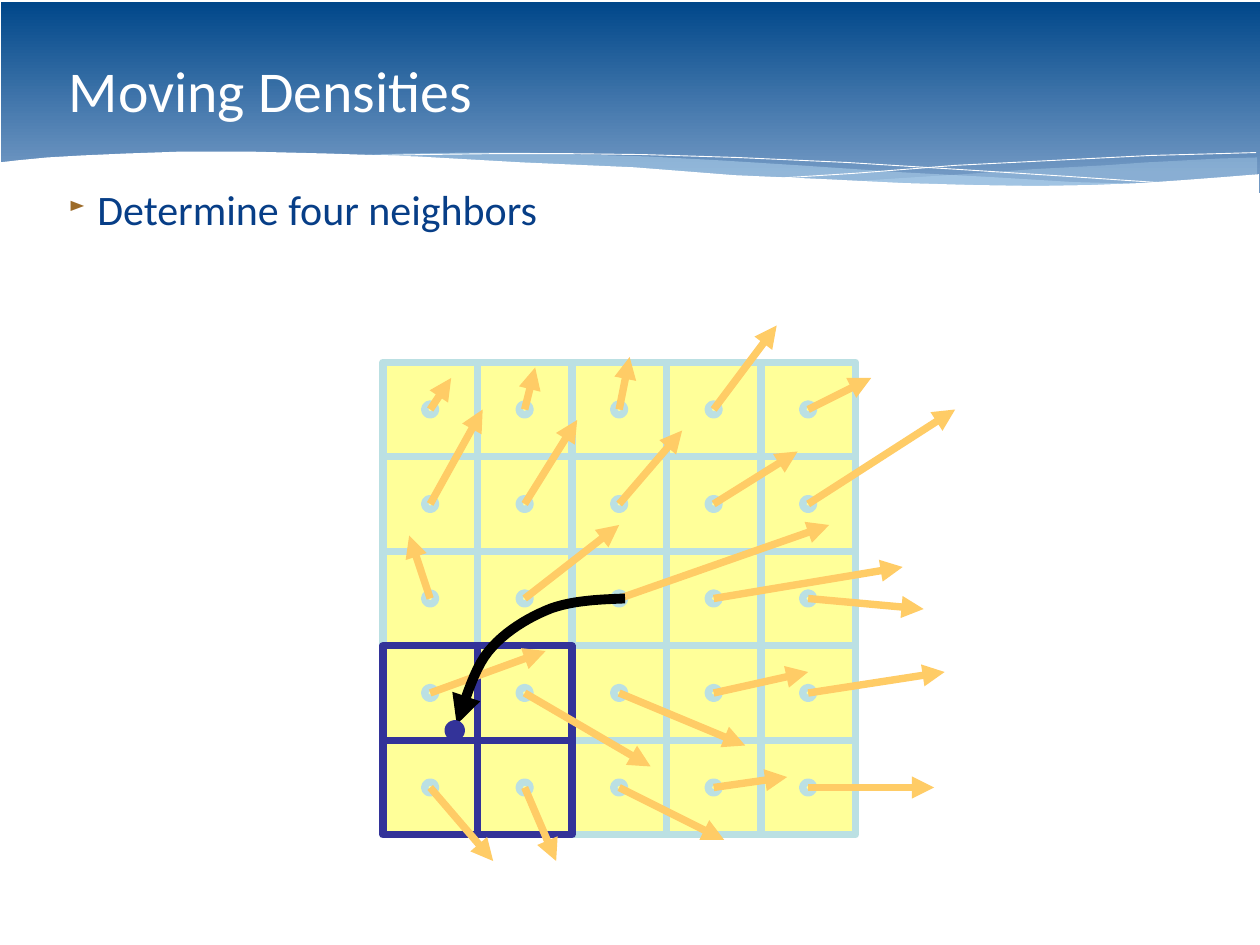
from lxml import etree
from pptx import Presentation
from pptx.dml.color import RGBColor
from pptx.enum.shapes import MSO_CONNECTOR, MSO_SHAPE
from pptx.enum.text import MSO_ANCHOR, PP_ALIGN
from pptx.oxml.ns import qn
from pptx.util import Pt

RECTANGLE, OVAL = MSO_SHAPE.RECTANGLE, MSO_SHAPE.OVAL
STRAIGHT = MSO_CONNECTOR.STRAIGHT
MIDDLE, TOP, LEFT = MSO_ANCHOR.MIDDLE, MSO_ANCHOR.TOP, PP_ALIGN.LEFT

# Content
TITLE = "Moving Densities"
BULLET = "Determine four neighbors"
FONT = "Calibri"
COLORS = {
    "header_top": "00478A", "header_bottom": "7198C3", "wave": "C6E7FC",
    "white": "FFFFFF", "body": "073E87", "bullet": "9C6B29",
    "cell": "FFFF99", "grid": "BBE0E3", "neighbor": "333399",
    "velocity": "FFCC66", "trace": "000000",
}

# Velocity of each cell, (right, down) in ninths of a cell
VELOCITIES = [
    [(2, -3), (1, -4), (1, -5), (6, -8), (6, -3)],
    [(5, -9), (5, -8), (6, -7), (8, -5), (14, -9)],
    [(-2, -6), (9, -7), (20, -7), (18, -3), (11, 1)],
    [(11, -4), (12, 7), (12, 5), (9, -2), (13, -2)],
    [(6, 7), (3, 7), (10, 5), (7, -1), (12, 0)],
]
NEIGHBORS = {(3, 0), (3, 1), (4, 0), (4, 1)}  # row, column

# Header waves: points in px, with fill opacity in percent
WAVES = [
    ([(1276, 160), (1240, 161), (1203, 163), (1164, 165), (1122, 168),
      (1048, 172), (979, 177), (915, 181), (855, 185), (914, 186),
      (983, 188), (1046, 189), (1100, 189), (1151, 188), (1203, 185),
      (1241, 182), (1277, 177), (1277, 160)], 29),
    ([(1166, 187), (1091, 185), (1008, 180), (915, 175), (812, 168),
      (732, 163), (658, 159), (591, 157), (532, 155), (478, 155),
      (409, 156), (353, 158), (428, 160), (511, 165), (572, 168),
      (679, 176), (775, 181), (861, 185), (937, 187), (1004, 189),
      (1065, 189), (1119, 189)], 40),
]
WAVE_LINES = [
    [(383, 158), (429, 157), (507, 156), (572, 156), (653, 157),
     (749, 160), (860, 165), (988, 173), (1082, 179), (1185, 186)],
    [(791, 181), (870, 176), (971, 168), (1090, 162), (1169, 158),
     (1243, 156), (1276, 155)],
]
HEADER_EDGE = [
    (1279, 177), (1242, 180), (1202, 183), (1159, 186), (1109, 188),
    (1053, 189), (989, 188), (918, 186), (837, 182), (746, 178),
    (644, 170), (530, 165), (424, 159), (332, 156), (252, 154),
    (185, 154), (128, 156), (83, 158), (48, 160), (17, 163), (0, 165),
    (0, 208), (1279, 208),
]
# Cubic curve: start, then two controls and an end for each part
TRACE = [(635, 608), (609, 609), (583, 610), (560, 618), (537, 627),
         (512, 642), (496, 662), (480, 681), (469, 724), (464, 736)]

# Layout in px, 90 to the inch
PX = 10160
WIDTH, HEIGHT = 1280, 960
GRID_LEFT, GRID_TOP, CELL, DOT = 389, 368, 96, 11
LANDING = (462, 742)

presentation = Presentation()
presentation.slide_width, presentation.slide_height = WIDTH * PX, HEIGHT * PX
slide = presentation.slides.add_slide(presentation.slide_layouts[5])
shapes = slide.shapes


def emu(*lengths):
    return [round(length * PX) for length in lengths]


def color(name):
    return RGBColor.from_string(COLORS[name])


def paint(shape, fill=None, line=None, width=0):
    shape.shadow.inherit = False
    if fill:
        shape.fill.solid()
        shape.fill.fore_color.rgb = color(fill)
    else:
        shape.fill.background()
    if line:
        shape.line.color.rgb = color(line)
        shape.line.width = Pt(width)
    else:
        shape.line.fill.background()
    return shape


def add_dot(center, fill, line, width):
    x, y = center
    box = emu(x - DOT / 2, y - DOT / 2, DOT, DOT)
    paint(shapes.add_shape(OVAL, *box), fill, line, width)


def add_path(points, close):
    points = [emu(*point) for point in points]
    builder = shapes.build_freeform(*points[0], scale=1.0)
    builder.add_line_segments(points[1:], close=close)
    return builder.convert_to_shape()


def add_arrowhead(shape):
    line = shape.line._get_or_add_ln()
    etree.SubElement(line, qn("a:tailEnd"), type="triangle")


def curve_points(points, steps=12):
    result = [points[0]]
    for first in range(0, len(points) - 1, 3):
        part = points[first:first + 4]
        for step in range(1, steps + 1):
            t = step / steps
            weights = ((1 - t) ** 3, 3 * t * (1 - t) ** 2,
                       3 * t * t * (1 - t), t ** 3)
            result.append([sum(w * point[axis] for w, point in zip(weights, part))
                           for axis in (0, 1)])
    return result


def write_text(shape, text, size, color_name, anchor):
    frame = shape.text_frame
    frame.word_wrap = True
    frame.vertical_anchor = anchor
    frame.margin_left = frame.margin_right = 6 * PX
    frame.margin_top = frame.margin_bottom = 7 * PX
    paragraph = frame.paragraphs[0]
    paragraph.alignment = LEFT
    run = paragraph.add_run()
    run.text = text
    run.font.name = FONT
    run.font.size = Pt(size)
    run.font.color.rgb = color(color_name)
    return paragraph


# Header band and waves
band = paint(shapes.add_shape(RECTANGLE, *emu(1, 2, 1279, 194)))
band.fill.gradient()
band.fill.gradient_angle = 270
for stop, name, position in zip(band.fill.gradient_stops,
                                ("header_top", "header_bottom"), (0, 0.9)):
    stop.color.rgb = color(name)
    stop.position = position
for points, opacity in WAVES:
    wave = paint(add_path(points, True), "wave")
    tint = wave.fill._xPr.find(".//" + qn("a:srgbClr"))
    etree.SubElement(tint, qn("a:alpha"), val=str(opacity * 1000))
for points in WAVE_LINES:
    paint(add_path(points, False), line="white")
paint(add_path(HEADER_EDGE, True), "white")

# Title, raised above the header
title = shapes.title
shapes._spTree.append(title._element)
title.left, title.top, title.width, title.height = emu(64, 21, 1152, 140)
write_text(title, TITLE, 46.9, "white", MIDDLE)

# Bullet text
body = shapes.add_textbox(*emu(64, 179, 1152, 710))
paragraph = write_text(body, BULLET, 34.1, "body", TOP)
paragraph.space_before = Pt(12.5)
properties = paragraph._p.get_or_add_pPr()
properties.set("marL", str(29 * PX))
properties.set("indent", str(-29 * PX))
bullet_color = etree.SubElement(properties, qn("a:buClr"))
etree.SubElement(bullet_color, qn("a:srgbClr"), val=COLORS["bullet"])
etree.SubElement(properties, qn("a:buSzPct"), val="50000")
etree.SubElement(properties, qn("a:buChar"), char="►")

# Grid cells, neighbors last so that their borders stay on top
places = [(row, column) for row in range(5) for column in range(5)]
for row, column in sorted(places, key=lambda place: place in NEIGHBORS):
    box = emu(GRID_LEFT + column * CELL, GRID_TOP + row * CELL, CELL, CELL)
    border = "neighbor" if (row, column) in NEIGHBORS else "grid"
    paint(shapes.add_shape(RECTANGLE, *box), "cell", border, 6)

# Cell centers, then velocity arrows
centers = {(row, column): (GRID_LEFT + (column + 0.5) * CELL,
                           GRID_TOP + (row + 0.5) * CELL)
           for row, column in places}
for center in centers.values():
    add_dot(center, "cell", "grid", 6)
for (row, column), (x, y) in centers.items():
    right, down = VELOCITIES[row][column]
    arrow = shapes.add_connector(
        STRAIGHT, *emu(x, y, x + right * CELL / 9, y + down * CELL / 9))
    arrow.line.color.rgb = color("velocity")
    arrow.line.width = Pt(6)
    add_arrowhead(arrow)
    etree.SubElement(arrow._element.spPr, qn("a:effectLst"))

# Backward trace and its landing point
trace = paint(add_path(curve_points(TRACE), False), line="trace", width=8)
add_arrowhead(trace)
add_dot(LANDING, "neighbor", "neighbor", 8)

presentation.save("out.pptx")
